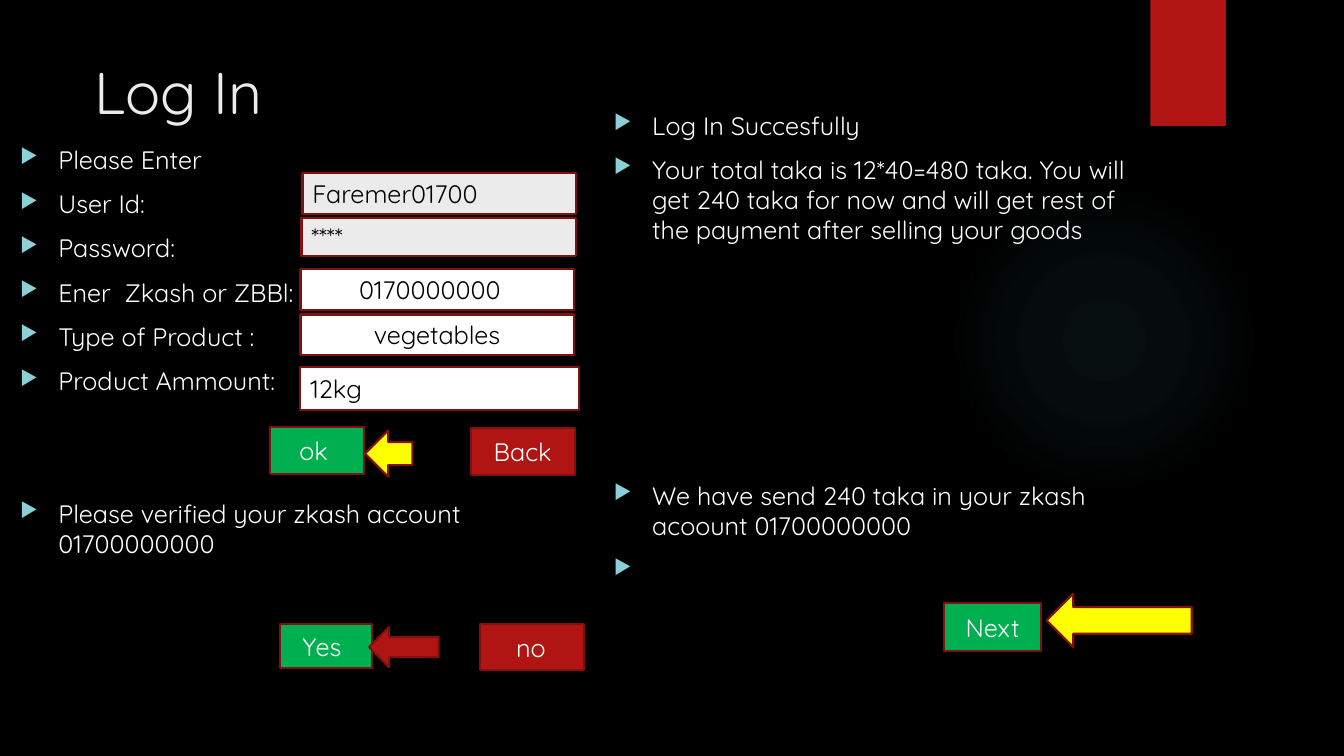
from dataclasses import dataclass
from typing import Optional

import lxml.etree
import pptx
import pptx.dml.color
import pptx.enum.shapes
import pptx.enum.text
import pptx.oxml.ns
import pptx.util

RGB = pptx.dml.color.RGBColor
SHAPE = pptx.enum.shapes.MSO_SHAPE
ALIGN = pptx.enum.text.PP_ALIGN
ANCHOR = pptx.enum.text.MSO_ANCHOR

BLACK = RGB(0x00, 0x00, 0x00)
WHITE = RGB(0xFF, 0xFF, 0xFF)
PALE = RGB(0xEB, 0xEB, 0xEB)
RED = RGB(0xB0, 0x15, 0x13)
DARK_RED = RGB(0x82, 0x10, 0x0E)
GREEN = RGB(0x00, 0xB0, 0x50)
YELLOW = RGB(0xFF, 0xFF, 0x00)
BULLET = RGB(0x8A, 0xD0, 0xD6)
GLOW = RGB(0x50, 0xB9, 0xC1)

FONT = "Quicksand"
TEXT_SIZE = 18
PARAGRAPH_GAP = 10
ROW_PITCH = 31.6

SLIDE_WIDTH = pptx.util.Inches(13.33)
SLIDE_HEIGHT = pptx.util.Inches(7.5)
COLUMN = SLIDE_WIDTH / 133.3
ROW = SLIDE_HEIGHT / 75


@dataclass(frozen=True)
class Place:
    column: float
    row: float
    columns: float
    rows: float

    def box(self) -> tuple[int, int, int, int]:
        return (round(self.column * COLUMN), round(self.row * ROW),
                round(self.columns * COLUMN), round(self.rows * ROW))


@dataclass(frozen=True)
class Control:
    label: str
    place: Place
    fill: RGB
    color: RGB = WHITE
    align: ALIGN = ALIGN.LEFT
    left_inset: float = 1
    right_inset: float = 1


@dataclass(frozen=True)
class Pointer:
    place: Place
    fill: RGB


@dataclass(frozen=True)
class Item:
    wording: str
    skipped_rows: int = 0


@dataclass(frozen=True)
class Panel:
    place: Place
    items: tuple[Item, ...]


PANELS = (
    Panel(Place(1, 13.8, 59.1, 61.2), (
        Item("Please Enter"),
        Item("User Id:"),
        Item("Password:"),
        Item("Ener  Zkash or ZBBl:"),
        Item("Type of Product :"),
        Item("Product Ammount:"),
        Item("Please verified your zkash account 01700000000", 2),
    )),
    Panel(Place(59.9, 10.4, 52.9, 59.1), (
        Item("Log In Succesfully"),
        Item("Your total taka is 12*40=480 taka. You will get 240 taka for now "
             "and will get rest of the payment after selling your goods"),
        Item("We have send 240 taka in your zkash acoount 01700000000", 5),
        Item(" "),
    )),
)

CONTROLS = (
    Control("Faremer01700", Place(30, 17.2, 27.1, 4), PALE, BLACK),
    Control("****", Place(29.9, 21.6, 27.2, 3.8), PALE, BLACK),
    Control("0170000000", Place(29.8, 26.7, 27.1, 4.1), WHITE, BLACK,
            ALIGN.CENTER, right_inset=2.4),
    Control("vegetables", Place(29.8, 31.2, 27.1, 4), WHITE, BLACK, ALIGN.CENTER),
    Control("12kg", Place(29.8, 36.4, 27.6, 4.3), WHITE, BLACK),
    Control("ok", Place(26.8, 42.4, 9.3, 4.6), GREEN, left_inset=2.9),
    Control("Back", Place(46.7, 42.5, 10.3, 4.6), RED, align=ALIGN.CENTER),
    Control("Yes", Place(27.8, 61.9, 9.1, 4.4), GREEN, left_inset=2.2),
    Control("no", Place(47.6, 61.9, 10.3, 4.6), RED, left_inset=3.6),
    Control("Next", Place(93.6, 59.8, 9.7, 4.8), GREEN, align=ALIGN.CENTER),
)

POINTERS = (
    Pointer(Place(36.2, 42.7, 4.7, 4.6), YELLOW),
    Pointer(Place(36.6, 62.2, 6.9, 4), RED),
    Pointer(Place(103.8, 58.9, 14.4, 5.3), YELLOW),
)


def add_element(parent, tag: str, **attributes: str):
    return lxml.etree.SubElement(parent, pptx.oxml.ns.qn(tag), attributes)


def style_text(paragraph, size: float, color: RGB) -> None:
    paragraph.font.name = FONT
    paragraph.font.size = pptx.util.Pt(size)
    paragraph.font.color.rgb = color


def add_block(slide, kind: SHAPE, place: Place, fill: RGB, outline: Optional[RGB] = None):
    block = slide.shapes.add_shape(kind, *place.box())
    block.shadow.inherit = False
    block.fill.solid()
    block.fill.fore_color.rgb = fill
    if outline is None:
        block.line.fill.background()
    else:
        block.line.color.rgb = outline
        block.line.width = pptx.util.Pt(1.5)
    return block


def add_glow(slide, place: Place) -> None:
    glow = add_block(slide, SHAPE.OVAL, place, GLOW)
    solid = glow.fill._xPr.find(pptx.oxml.ns.qn("a:solidFill"))
    gradient = lxml.etree.Element(pptx.oxml.ns.qn("a:gradFill"), rotWithShape="1")
    stops = add_element(gradient, "a:gsLst")
    for position, opacity in ((0, 7), (36, 6), (69, 0), (100, 0)):
        stop = add_element(stops, "a:gs", pos=str(position * 1000))
        color = add_element(stop, "a:srgbClr", val=str(GLOW))
        add_element(color, "a:alpha", val=str(opacity * 1000))
    circle = add_element(gradient, "a:path", path="circle")
    add_element(circle, "a:fillToRect", l="50000", t="50000", r="50000", b="50000")
    solid.getparent().replace(solid, gradient)


def add_title(slide, wording: str, place: Place) -> None:
    frame = slide.shapes.add_textbox(*place.box()).text_frame
    frame.word_wrap = True
    heading = frame.paragraphs[0]
    heading.text = wording
    style_text(heading, 42, PALE)


def add_panel(slide, panel: Panel) -> None:
    frame = slide.shapes.add_textbox(*panel.place.box()).text_frame
    frame.word_wrap = True
    indent = pptx.util.Inches(0.38)
    for number, item in enumerate(panel.items):
        paragraph = frame.add_paragraph() if number else frame.paragraphs[0]
        paragraph.text = item.wording
        if number:
            paragraph.space_before = pptx.util.Pt(PARAGRAPH_GAP + item.skipped_rows * ROW_PITCH)
        properties = paragraph._p.get_or_add_pPr()
        properties.set("marL", str(indent))
        properties.set("indent", str(-indent))
        bullet_color = add_element(properties, "a:buClr")
        add_element(bullet_color, "a:srgbClr", val=str(BULLET))
        add_element(properties, "a:buSzPct", val="80000")
        add_element(properties, "a:buChar", char="▶")
        style_text(paragraph, TEXT_SIZE, WHITE)


def add_control(slide, control: Control) -> None:
    frame = add_block(slide, SHAPE.RECTANGLE, control.place, control.fill, DARK_RED).text_frame
    frame.word_wrap = True
    frame.vertical_anchor = ANCHOR.MIDDLE
    frame.margin_left = round(control.left_inset * COLUMN)
    frame.margin_right = round(control.right_inset * COLUMN)
    label = frame.paragraphs[0]
    label.text = control.label
    label.alignment = control.align
    style_text(label, TEXT_SIZE, control.color)


def main() -> None:
    deck = pptx.Presentation()
    deck.slide_width = SLIDE_WIDTH
    deck.slide_height = SLIDE_HEIGHT
    slide = deck.slides.add_slide(deck.slide_layouts[6])
    slide.background.fill.solid()
    slide.background.fill.fore_color.rgb = BLACK
    add_glow(slide, Place(94.1, 18.3, 30.8, 30.8))
    add_block(slide, SHAPE.RECTANGLE, Place(114.1, 0, 7.5, 12.5), RED)
    add_title(slide, "Log In", Place(8.4, 5, 101.5, 8.8))
    for panel in PANELS:
        add_panel(slide, panel)
    for control in CONTROLS:
        add_control(slide, control)
    for pointer in POINTERS:
        add_block(slide, SHAPE.LEFT_ARROW, pointer.place, pointer.fill, DARK_RED)
    deck.save("out.pptx")


if __name__ == "__main__":
    main()
